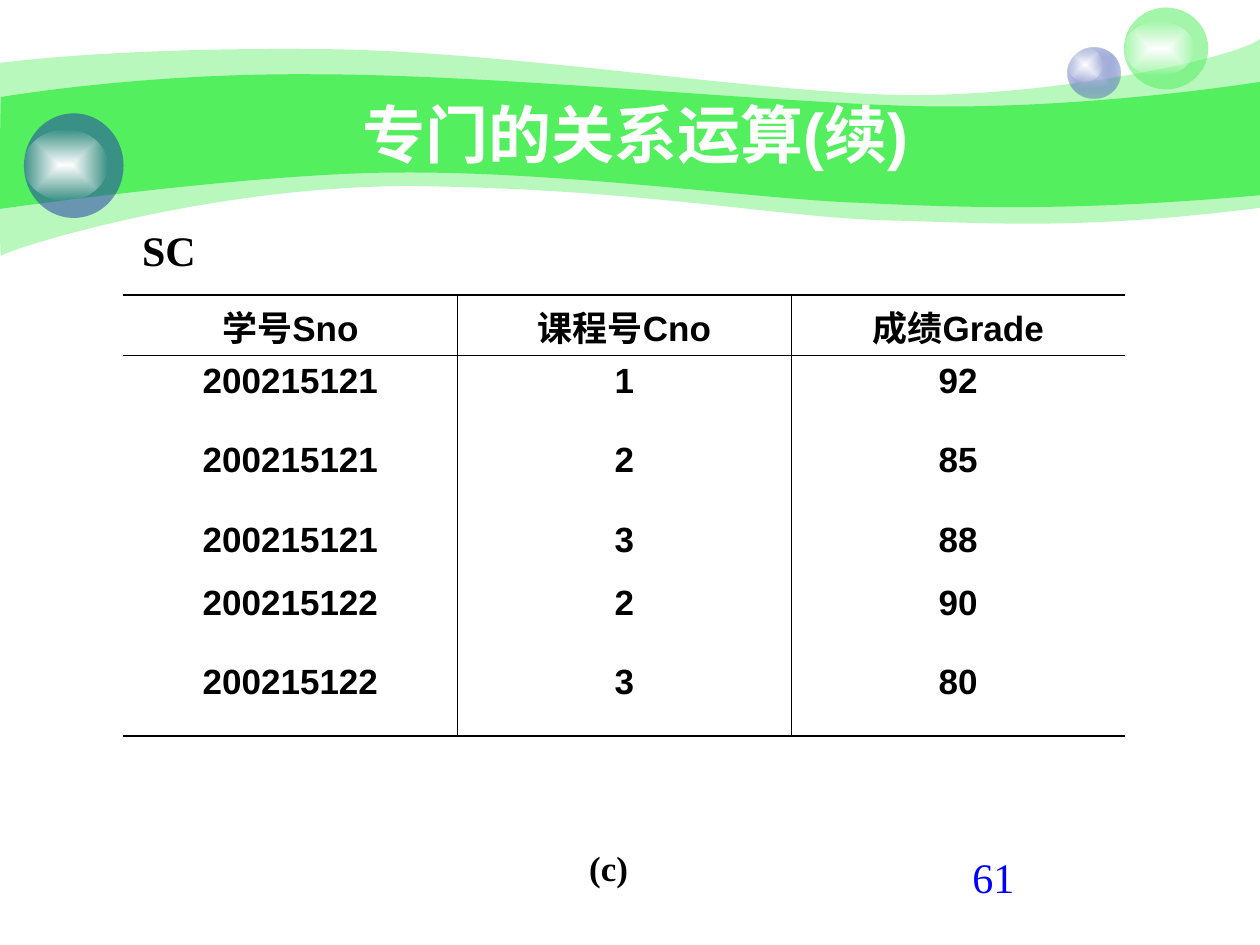
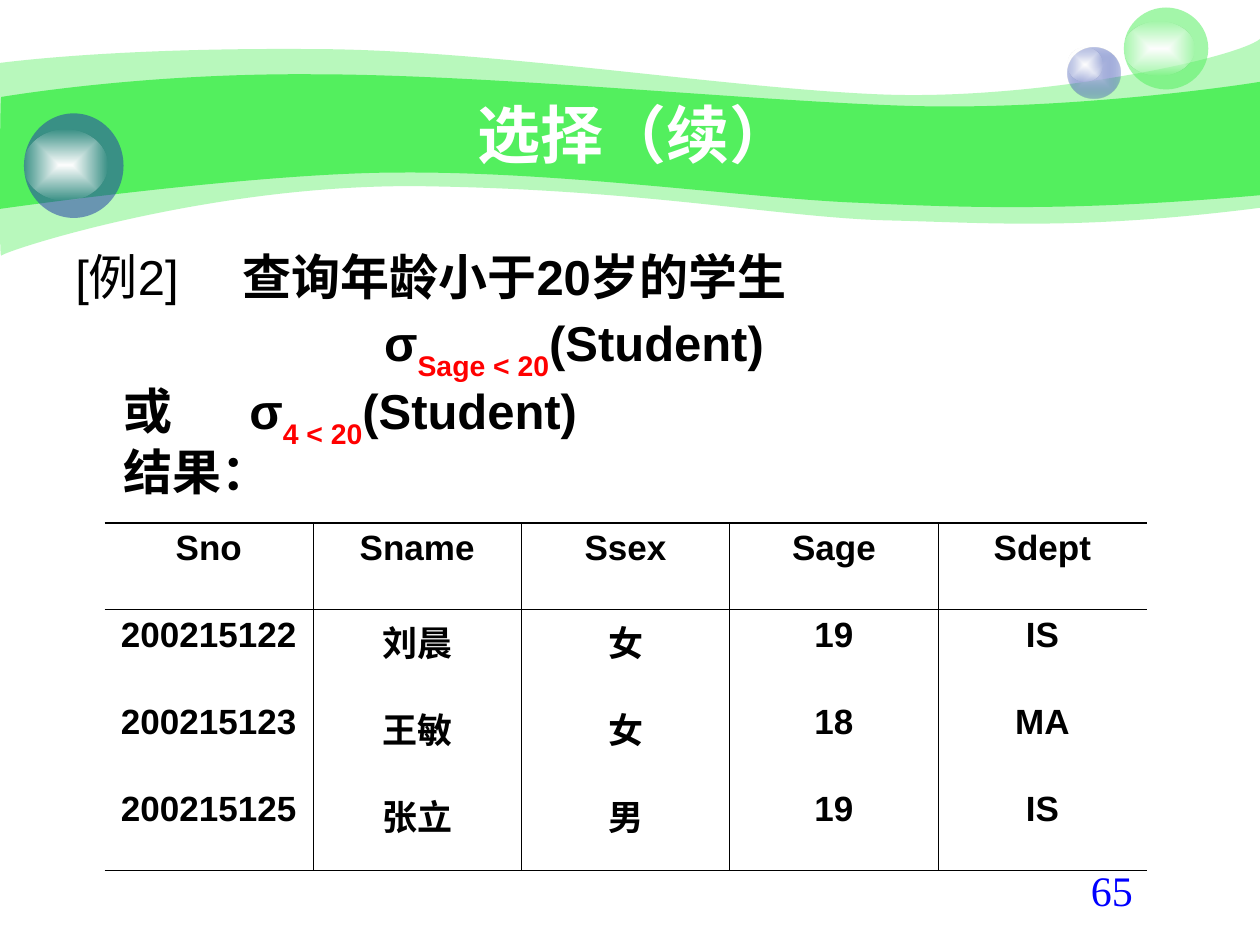
from dataclasses import dataclass
from typing import NamedTuple, Optional

from lxml import etree
from pptx import Presentation, util as u
from pptx.dml.color import RGBColor
from pptx.enum import shapes, text
from pptx.oxml.ns import qn

# Shared look
GREEN, BLUE, PALE_BLUE = "53EF5E", "233DA9", "C7CEE9"
WHITE, BLACK, RED, PAGE_BLUE = "FFFFFF", "000000", "FF0000", "0000FF"
SANS, SERIF = "Arial", "Times New Roman"
THIN, THICK = 0.45, 1.08
CENTER, LEFT = text.PP_ALIGN.CENTER, text.PP_ALIGN.LEFT
TOP, MIDDLE = text.MSO_ANCHOR.TOP, text.MSO_ANCHOR.MIDDLE


class Box(NamedTuple):
    left: float
    top: float
    width: float
    height: float

    def emu(self) -> list:
        return [u.Inches(length) for length in self]


class Stop(NamedTuple):
    position: int
    color: str
    opacity: int


class Run(NamedTuple):
    words: str
    bold: bool = True
    color: str = BLACK
    baseline: int = 0


class Line(NamedTuple):
    runs: list
    margin: float = 0
    hanging: float = 0  # a tab after the hanging part leads to the margin


@dataclass
class Wave:
    start: tuple
    curves: list  # three points for a Bezier curve, one for a straight line
    opacity: int = 100


@dataclass
class Bubble:
    box: Box
    color: str = WHITE
    opacity: int = 100
    stops: Optional[list] = None


@dataclass
class Grid:
    box: Box
    row_heights: list
    rows: list


WAVES = [
    Wave((0, 0.5), [
        ((0.24, 0.47), (1.07, 0.38), (2.47, 0.39)),
        ((3.86, 0.39), (5.75, 0.7), (6.99, 0.75)),
        ((8.22, 0.8), (9.8, 0.47), (10, 0.31)),
        ((10, 1.65),),
        ((8.58, 1.83), (7.87, 1.77), (7.05, 1.75)),
        ((6.22, 1.73), (5.15, 1.51), (3.43, 1.48)),
        ((1.72, 1.44), (0.04, 1.99), (0.01, 2.03)),
        ((-0.01, 2.08), (0, 0.75), (0, 0.5))], opacity=41),
    Wave((0.01, 0.77), [
        ((0.02, 0.77), (1.1, 0.58), (2.48, 0.59)),
        ((3.86, 0.59), (5.95, 0.8), (7.18, 0.84)),
        ((8.41, 0.88), (9.76, 0.69), (10, 0.65)),
        ((10, 1.55),),
        ((8.53, 1.68), (7.65, 1.65), (6.82, 1.61)),
        ((5.99, 1.58), (4.47, 1.36), (3.17, 1.37)),
        ((2.03, 1.37), (-0.02, 1.66), (-0.01, 1.66)),
        ((0, 1.66), (0, 0.77), (0.01, 0.77))]),
]

GLOW = [Stop(0, WHITE, 100), Stop(100, WHITE, 0)]
BUBBLES = [
    Bubble(Box(8.47, 0.38, 0.42, 0.4), stops=[Stop(0, PALE_BLUE, 100), Stop(100, BLUE, 31)]),
    Bubble(Box(8.47, 0.38, 0.28, 0.27), stops=GLOW),
    Bubble(Box(8.92, 0.06, 0.67, 0.65), GREEN, 53),
    Bubble(Box(8.92, 0.17, 0.56, 0.43), stops=GLOW),
    Bubble(Box(0.19, 0.9, 0.79, 0.83), BLUE, 53),
    Bubble(Box(0.19, 1.03, 0.66, 0.56), stops=GLOW),
]

# Slide content
SC_GRID = Grid(Box(0.98, 2.34, 7.95, 3.5), [0.48, 0.63, 0.63, 0.5, 0.63, 0.63], [
    ["学号Sno", "课程号Cno", "成绩Grade"],
    ["200215121", "1", "92"],
    ["200215121", "2", "85"],
    ["200215121", "3", "88"],
    ["200215122", "2", "90"],
    ["200215122", "3", "80"]])

STUDENT_GRID = Grid(Box(0.83, 4.15, 8.27, 2.76), [0.69] * 4, [
    ["Sno", "Sname", "Ssex", "Sage", "Sdept"],
    ["200215122", "刘晨", "女", "19", "IS"],
    ["200215123", "王敏", "女", "18", "MA"],
    ["200215125", "张立", "男", "19", "IS"]])

EXAMPLE = [
    Line([Run("[例2]", bold=False), Run("\t查询年龄小于20岁的学生")], margin=1.33, hanging=1.33),
    Line([Run("σ"), Run("Sage < 20", color=RED, baseline=-30), Run("(Student)")], margin=2.45),
    Line([Run("或\tσ"), Run("4 < 20", color=RED, baseline=-30), Run("(Student)")],
         margin=1.38, hanging=1),
    Line([Run("结果：")], margin=0.38),
]


def rgb(color: str) -> RGBColor:
    return RGBColor.from_string(color)


def child(parent, tag: str, **attributes):
    return etree.SubElement(parent, qn(tag), {k: str(v) for k, v in attributes.items()})


def fade(color_element, opacity: int) -> None:
    if opacity < 100:
        child(color_element, "a:alpha", val=opacity * 1000)


def paint(shape, color: str, opacity: int = 100) -> None:
    """Flat fill without line or shadow."""
    shape.shadow.inherit = False
    shape.line.fill.background()
    shape.fill.solid()
    shape.fill.fore_color.rgb = rgb(color)
    fade(shape.fill._xPr.find(qn("a:solidFill"))[0], opacity)


def paint_gradient(shape, stops: list) -> None:
    """Replace the flat fill by a gradient from the middle outwards."""
    flat = shape.fill._xPr.find(qn("a:solidFill"))
    gradient = etree.Element(qn("a:gradFill"), rotWithShape="1")
    stop_list = child(gradient, "a:gsLst")
    for stop in stops:
        mark = child(stop_list, "a:gs", pos=stop.position * 1000)
        fade(child(mark, "a:srgbClr", val=stop.color), stop.opacity)
    outline = child(gradient, "a:path", path="rect")
    child(outline, "a:fillToRect", l=50000, t=50000, r=50000, b=50000)
    flat.getparent().replace(flat, gradient)


def write(frame, lines: list, *, size: float, font: str = SANS, align=LEFT,
          spacing: Optional[float] = None, before: float = 0) -> None:
    """Fill a text frame with formatted lines."""
    for number, line in enumerate(lines):
        paragraph = frame.add_paragraph() if number else frame.paragraphs[0]
        properties = paragraph._p.get_or_add_pPr()
        properties.set("marL", str(u.Inches(line.margin)))
        properties.set("indent", str(u.Inches(-line.hanging)))
        if line.hanging:
            child(child(properties, "a:tabLst"), "a:tab", pos=0, algn="l")
        paragraph.alignment = align
        if spacing:
            paragraph.line_spacing = spacing
        if number:
            paragraph.space_before = u.Pt(before)
        for part in line.runs:
            run = paragraph.add_run()
            run.text = part.words
            run.font.name, run.font.size, run.font.bold = font, u.Pt(size), part.bold
            run.font.color.rgb = rgb(part.color)
            if part.baseline:
                run.font._element.set("baseline", str(part.baseline * 1000))


def add_text(slide, box: Box, lines: list, anchor=TOP, **style) -> None:
    frame = slide.shapes.add_textbox(*box.emu()).text_frame
    frame.word_wrap = True
    frame.vertical_anchor = anchor
    write(frame, lines, **style)


def add_wave(slide, wave: Wave) -> None:
    """Outline through all points, whose triples then become Bezier curves."""
    points = [(u.Inches(x), u.Inches(y)) for curve in wave.curves for x, y in curve]
    builder = slide.shapes.build_freeform(*(u.Inches(value) for value in wave.start))
    builder.add_line_segments(points, close=True)
    shape = builder.convert_to_shape()
    segments = iter(list(shape._element.iter(qn("a:lnTo"))))
    for curve in wave.curves:
        first, *others = [next(segments) for _ in curve]
        if others:
            first.tag = qn("a:cubicBezTo")
            for segment in others:
                first.append(segment[0])
                segment.getparent().remove(segment)
    paint(shape, GREEN, wave.opacity)


def add_bubble(slide, bubble: Bubble) -> None:
    ball = slide.shapes.add_shape(shapes.MSO_SHAPE.OVAL, *bubble.box.emu())
    paint(ball, bubble.color, bubble.opacity)
    if bubble.stops:
        paint_gradient(ball, bubble.stops)


def set_border(cell, side: str, width: float) -> None:
    """Draw one side of a cell, or clear it when the width is 0."""
    border = child(cell._tc.get_or_add_tcPr(), f"a:ln{side}", w=u.Pt(width))
    if width:
        child(child(border, "a:solidFill"), "a:srgbClr", val=BLACK)
    else:
        child(border, "a:noFill")


def add_grid(slide, grid: Grid) -> None:
    """Table open at the sides, ruled above, below and under its header."""
    row_count, column_count = len(grid.rows), len(grid.rows[0])
    table = slide.shapes.add_table(row_count, column_count, *grid.box.emu()).table
    table.first_row = table.horz_banding = False
    for column in table.columns:
        column.width = u.Inches(grid.box.width / column_count)
    for r, (values, height) in enumerate(zip(grid.rows, grid.row_heights)):
        table.rows[r].height = u.Inches(height)
        for c, value in enumerate(values):
            cell = table.cell(r, c)
            set_border(cell, "L", THIN if c else 0)
            set_border(cell, "R", THIN if c < column_count - 1 else 0)
            set_border(cell, "T", {0: THICK, 1: THIN}.get(r, 0))
            set_border(cell, "B", {0: THIN, row_count - 1: THICK}.get(r, 0))
            cell.fill.background()
            write(cell.text_frame, [Line([Run(value)])], size=20, align=CENTER)


def add_page(deck, title: str, number: str, number_box: Box):
    """Blank slide with the waves, bubbles, title and page number."""
    slide = deck.slides.add_slide(deck.slide_layouts[6])
    for wave in WAVES:
        add_wave(slide, wave)
    for bubble in BUBBLES:
        add_bubble(slide, bubble)
    add_text(slide, Box(1, 0.75, 8.08, 0.62), [Line([Run(title, color=WHITE)])],
             anchor=MIDDLE, size=36, align=CENTER)
    add_text(slide, number_box, [Line([Run(number, bold=False, color=PAGE_BLUE)])],
             size=24, font=SERIF)
    return slide


def main() -> None:
    deck = Presentation()
    deck.slide_width, deck.slide_height = u.Inches(10), u.Inches(7.5)

    # Relation SC
    relation = add_page(deck, "专门的关系运算(续)", "61", Box(7.62, 6.71, 1.4, 0.5))
    add_text(relation, Box(0.75, 1.71, 1.18, 0.55), [Line([Run("SC")])],
             anchor=MIDDLE, size=24, font=SERIF, align=CENTER)
    add_grid(relation, SC_GRID)
    add_text(relation, Box(4.37, 6.67, 0.92, 0.77), [Line([Run("(c)")])],
             size=20, font=SERIF, align=CENTER)

    # Selection example
    selection = add_page(deck, "选择（续）", "65", Box(8.56, 6.81, 1.4, 0.5))
    add_text(selection, Box(0.5, 2, 8.99, 2.06), EXAMPLE, size=28, spacing=0.8, before=7)
    add_grid(selection, STUDENT_GRID)

    deck.save("out.pptx")


if __name__ == "__main__":
    main()
